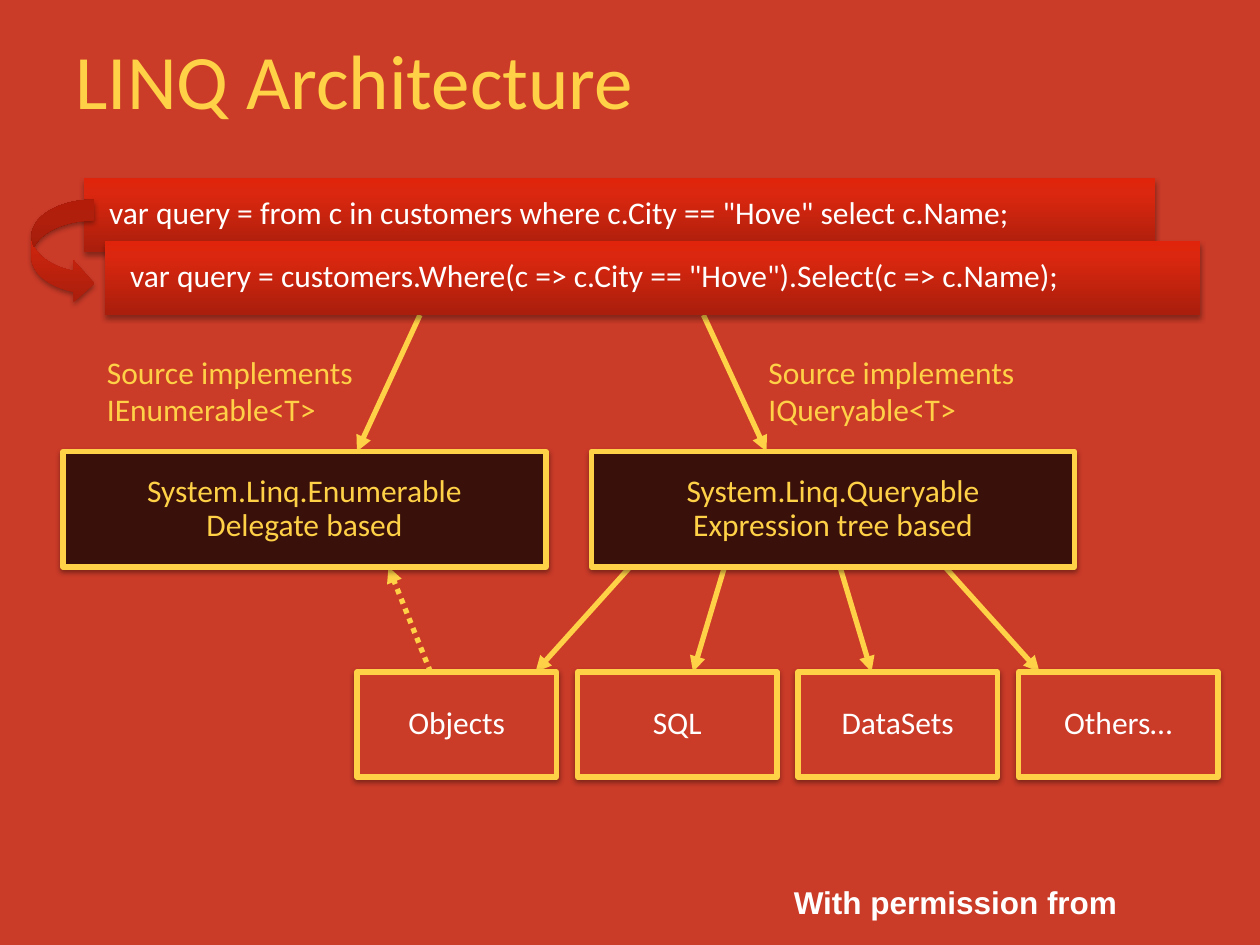
import pptx
import pptx.dml.color
import pptx.enum.dml
import pptx.enum.shapes
import pptx.enum.text
import pptx.oxml
import pptx.util
from pptx.oxml import ns

Pt = pptx.util.Pt
RGBColor = pptx.dml.color.RGBColor
SHAPE = pptx.enum.shapes.MSO_SHAPE
ALIGN = pptx.enum.text.PP_ALIGN
ANCHOR = pptx.enum.text.MSO_ANCHOR

RED = RGBColor(0xCA, 0x3B, 0x28)
YELLOW = RGBColor(0xFF, 0xD1, 0x47)
BROWN = RGBColor(0x3A, 0x10, 0x0B)
WHITE = RGBColor(0xFF, 0xFF, 0xFF)
GLOSS = ((0, RGBColor(0xA9, 0x1E, 0x0C)), (80, RGBColor(0xDB, 0x27, 0x0F)),
         (100, RGBColor(0xE0, 0x24, 0x0B)))


def add_effects(shape, content=""):
    shape._element.spPr.append(pptx.oxml.parse_xml(
        f'<a:effectLst {ns.nsdecls("a")}>{content}</a:effectLst>'))


def add_shadow(shape, opacity, distance):
    add_effects(shape, f'<a:outerShdw blurRad="{Pt(3.1)}" dist="{Pt(distance)}" '
                       'dir="5400000" rotWithShape="0"><a:srgbClr val="000000">'
                       f'<a:alpha val="{opacity * 1000}"/></a:srgbClr></a:outerShdw>')


def write(shape, text, color, size=18, font="Calibri", align=ALIGN.LEFT,
          anchor=ANCHOR.TOP, spacing=None, inset=None):
    tf = shape.text_frame
    tf.vertical_anchor = anchor
    if inset:
        tf.margin_left = tf.margin_right = Pt(inset[0])
        tf.margin_top = tf.margin_bottom = Pt(inset[1])
    p = tf.paragraphs[0]
    p.text = text
    p.alignment = align
    p.line_spacing = spacing
    p.font.size, p.font.name = Pt(size), font
    p.font.color.rgb = color
    return p


def add_outlined_box(s, box, text, fill, color, inset=None):
    sp = s.shapes.add_shape(SHAPE.RECTANGLE, *map(Pt, box))
    sp.fill.solid()
    sp.fill.fore_color.rgb = fill
    sp.line.color.rgb = YELLOW
    sp.line.width = Pt(3)
    add_shadow(sp, 38, 1.6)
    write(sp, text, color, align=ALIGN.CENTER, anchor=ANCHOR.MIDDLE,
          spacing=0.9, inset=inset)


def add_glossy(s, kind, box):
    sp = s.shapes.add_shape(kind, *map(Pt, box))
    stops = "".join(f'<a:gs pos="{pos * 1000}"><a:srgbClr val="{color}"/></a:gs>'
                    for pos, color in GLOSS)
    sp._element.spPr.append(pptx.oxml.parse_xml(
        f'<a:gradFill rotWithShape="1" {ns.nsdecls("a")}><a:gsLst>{stops}</a:gsLst>'
        '<a:lin ang="16200000" scaled="0"/></a:gradFill>'))
    sp.line.fill.background()
    add_shadow(sp, 35, 1.8)
    return sp


def add_arrow(s, x1, y1, x2, y2, dotted=False):
    c = s.shapes.add_connector(pptx.enum.shapes.MSO_CONNECTOR.STRAIGHT,
                               *map(Pt, (x1, y1, x2, y2)))
    c.line.color.rgb = YELLOW
    c.line.width = Pt(3)
    if dotted:
        c.line.dash_style = pptx.enum.dml.MSO_LINE.ROUND_DOT
    c.line._get_or_add_ln().append(pptx.oxml.parse_xml(
        f'<a:tailEnd type="triangle" {ns.nsdecls("a")}/>'))
    add_effects(c)


def add_title(s, left, top, width, height):
    sp = s.shapes.title
    sp.left, sp.top, sp.width, sp.height = map(Pt, (left, top, width, height))
    write(sp, "LINQ Architecture", YELLOW, size=44, anchor=ANCHOR.MIDDLE)


def add_queries(s, left, top, width, height):
    """Query syntax, its method form overlapping it, and the arrow between."""
    queries = (
        (0, 0, width - 14,
         'var query = from c in customers where c.City == "Hove" select c.Name;'),
        (12, 36, width,
         'var query = customers.Where(c => c.City == "Hove").Select(c => c.Name);'))
    for dx, dy, w, text in queries:
        sp = add_glossy(s, SHAPE.RECTANGLE, (left + dx, top + dy, w, height))
        write(sp, text, WHITE, spacing=0.9, inset=(14.4, 10.8))
    sp = add_glossy(s, SHAPE.CURVED_RIGHT_ARROW, (left - 30, top + 12, 36, 60))
    for i, value in enumerate((0.333, 0.667, 0.333)):
        sp.adjustments[i] = value


def add_branch(s, left, top, width, height, label, label_left, text):
    """A provider box with the interface label above it."""
    add_outlined_box(s, (left, top, width, height), text, BROWN, YELLOW)
    sp = s.shapes.add_textbox(*map(Pt, (label_left, top - 60, 165, 44)))
    write(sp, label, YELLOW)


def add_sources(s, left, top, width, height, gap):
    for i, name in enumerate(("Objects", "SQL", "DataSets", "Others…")):
        add_outlined_box(s, (left + i * (width + gap), top, width, height),
                         name, RED, WHITE, inset=(14.4, 10.8))


def add_footer(s, left, top, width, height):
    sp = s.shapes.add_textbox(*map(Pt, (left, top, width, height)))
    sp.text_frame.word_wrap = True
    p = write(sp, "With permission from", WHITE, font="Arial",
              align=ALIGN.CENTER, spacing=Pt(25))
    p.space_after = Pt(10)
    p.font.bold = True


def main():
    prs = pptx.Presentation()
    prs.slide_width, prs.slide_height = Pt(720), Pt(540)
    s = prs.slides.add_slide(prs.slide_layouts[5])
    s.background.fill.solid()
    s.background.fill.fore_color.rgb = RED

    # Edges shared by the boxes and the arrows between them
    query_bottom, branch_top, branch_bottom, source_top = 180, 258, 324, 384

    # Arrows lie behind the boxes
    for x1, x2 in ((240, 204), (402, 438)):
        add_arrow(s, x1, query_bottom, x2, branch_top)
    for x1, x2 in ((360, 306), (414, 396), (480, 498), (540, 594)):
        add_arrow(s, x1, branch_bottom, x2, source_top)
    add_arrow(s, 246, source_top, 222, branch_bottom, dotted=True)

    add_title(s, 36, 0, 558, 90)
    add_queries(s, 48, 102, 626, 42)
    branch_height = branch_bottom - branch_top
    add_branch(s, 36, branch_top, 276, branch_height,
               "Source implements\vIEnumerable<T>", 54,
               "System.Linq.Enumerable\vDelegate based")
    add_branch(s, 338, branch_top, 276, branch_height,
               "Source implements\vIQueryable<T>", 432,
               "System.Linq.Queryable\vExpression tree based")
    add_sources(s, 204, source_top, 114, 60, 12)
    add_footer(s, 444, 497.5, 204, 30)
    prs.save("out.pptx")


if __name__ == "__main__":
    main()
